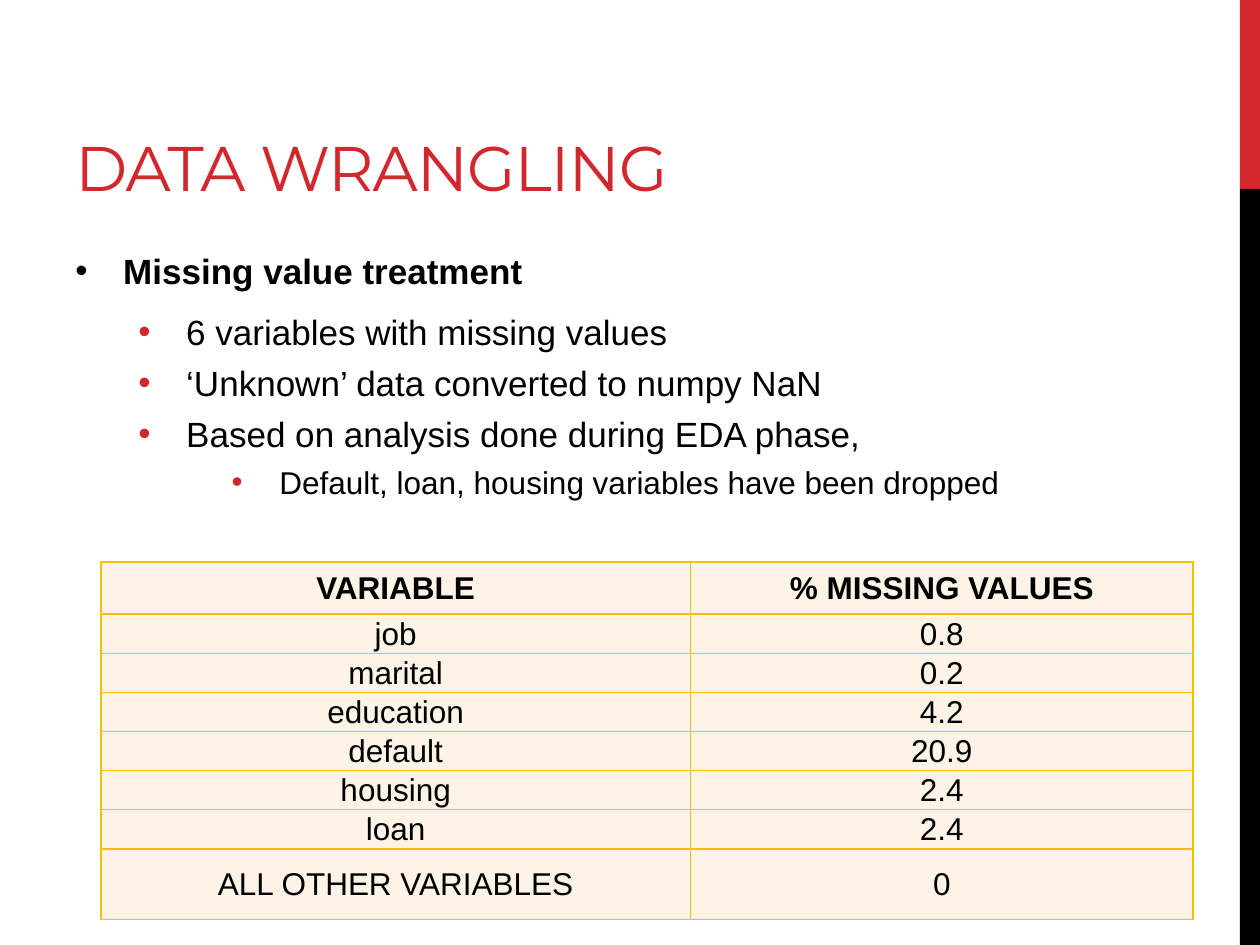
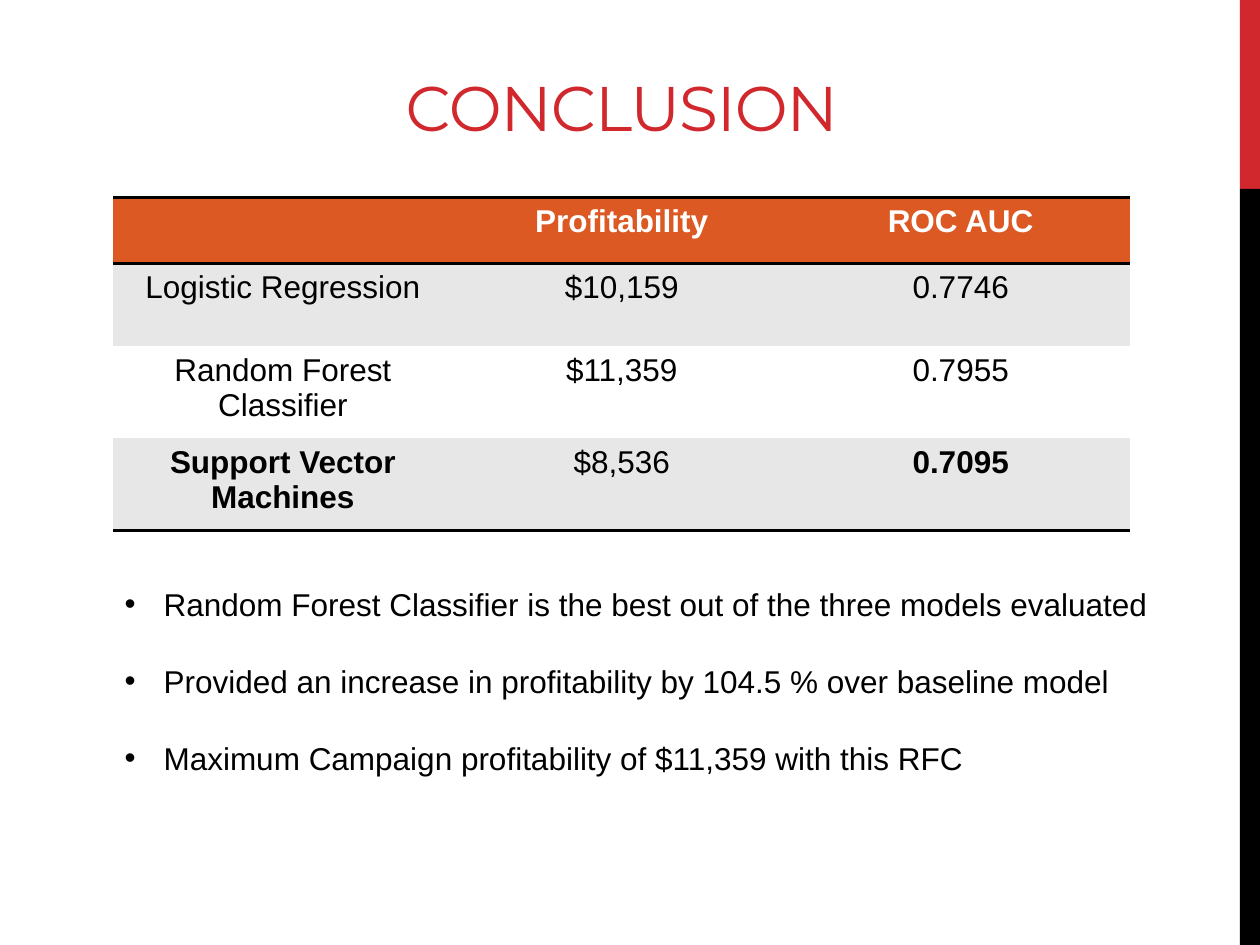
from lxml.etree import SubElement
from pptx import Presentation
from pptx.dml.color import RGBColor
from pptx.enum.shapes import MSO_SHAPE
from pptx.enum.text import MSO_ANCHOR, PP_ALIGN
from pptx.oxml import parse_xml
from pptx.oxml.ns import nsdecls, qn
from pptx.util import Inches, Pt

COLORS = {
    "red": "D1282E", "black": "000000", "white": "FFFFFF", "gold": "F5C201",
    "cream": "FDF4E7", "orange": "DC5924", "gray": "E7E7E7",
}
NO_TABLE_STYLE = "{2D5ABB26-0587-4C30-8999-92F81FD0307C}"

deck = Presentation()
deck.slide_width, deck.slide_height = Inches(10), Inches(7.5)

# The grid: 100 columns by 75 rows
COLUMN = deck.slide_width / 100
ROW = deck.slide_height / 75


def write(frame, text, size=18, font="Arial", color="black", bold=False, align=PP_ALIGN.LEFT,
          spacing=None, before=0, after=0, bullet=None, margin=0, hanging=0):
    """Add one formatted paragraph; margin and hanging are in columns."""
    para = frame.paragraphs[0]
    if para.runs:
        para = frame.add_paragraph()
    para.alignment = align
    para.space_before, para.space_after = Pt(before), Pt(after)
    if bullet:
        properties = para._p.get_or_add_pPr()
        properties.set("marL", str(int(margin * COLUMN)))
        properties.set("indent", str(int(-hanging * COLUMN)))
        SubElement(SubElement(properties, qn("a:buClr")), qn("a:srgbClr"), val=COLORS[bullet])
        SubElement(properties, qn("a:buFont"), typeface="Arial")
        SubElement(properties, qn("a:buChar"), char="•")
    span = para.add_run()
    span.text = text
    span.font.size, span.font.name, span.font.bold = Pt(size), font, bold
    span.font.color.rgb = RGBColor.from_string(COLORS[color])
    if spacing is not None:
        span._r.get_or_add_rPr().set("spc", str(int(spacing * 100)))


def fill_cell(cell, color, sides, line, width):
    """Fill a cell and draw the listed sides (from L, R, T, B) as borders."""
    cell.fill.solid()
    cell.fill.fore_color.rgb = RGBColor.from_string(COLORS[color])
    for position, side in enumerate(sides):
        cell._tc.get_or_add_tcPr().insert(position, parse_xml(
            f'<a:ln{side} {nsdecls("a")} w="{Pt(width)}"><a:solidFill>'
            f'<a:srgbClr val="{COLORS[line]}"/></a:solidFill></a:ln{side}>'))


# Shared parts: side bands, title, text box and table frame
pages = [
    {"title": "DATA WRANGLING", "title_at": (5, 1.7, 63.3, 15), "align": PP_ALIGN.LEFT,
     "body_at": (5, 19.3, 83.3, 24), "table_at": (8, 44.6),
     "columns": [46.8, 39.9], "rows": [4.15] + [2.94] * 6 + [5.6]},
    {"title": "CONCLUSION", "title_at": (5, 2.3, 88.7, 9.6), "align": PP_ALIGN.CENTER,
     "body_at": (8.9, 45.9, 83.9, 16.2), "table_at": (9, 15.7),
     "columns": [26.9] * 3, "rows": [5.2, 6.6, 7.3, 7.3]},
]
bodies, tables = [], []
for page in pages:
    slide = deck.slides.add_slide(deck.slide_layouts[6])
    for top, height, color in ((0, 15, "red"), (15, 60, "black")):
        band = slide.shapes.add_shape(MSO_SHAPE.RECTANGLE, int(98.4 * COLUMN), int(top * ROW),
                                      int(1.6 * COLUMN), int(height * ROW))
        band.shadow.inherit = False
        band.fill.solid()
        band.fill.fore_color.rgb = RGBColor.from_string(COLORS[color])
        band.line.fill.background()

    frames = []
    for left, top, width, height in (page["title_at"], page["body_at"]):
        box = slide.shapes.add_textbox(int(left * COLUMN), int(top * ROW),
                                       int(width * COLUMN), int(height * ROW))
        box.text_frame.word_wrap = True
        frames.append(box.text_frame)
    title, body = frames
    title.vertical_anchor = MSO_ANCHOR.BOTTOM
    write(title, page["title"], size=36, font="Montserrat", color="red",
          align=page["align"], spacing=-0.6)
    bodies.append(body)

    left, top = page["table_at"]
    table = slide.shapes.add_table(
        len(page["rows"]), len(page["columns"]), int(left * COLUMN), int(top * ROW),
        int(sum(page["columns"]) * COLUMN), int(sum(page["rows"]) * ROW)).table
    table._tbl.tblPr.find(qn("a:tableStyleId")).text = NO_TABLE_STYLE
    for column, width in zip(table.columns, page["columns"]):
        column.width = int(width * COLUMN)
    for row, height in zip(table.rows, page["rows"]):
        row.height = int(height * ROW)
    tables.append(table)

# Data wrangling: bullets on three levels
write(bodies[0], "Missing value treatment", size=20, bold=True, after=6,
      bullet="black", margin=3.8, hanging=3.8)
for text, size, margin in (
    ("6 variables with missing values", 20, 8.8),
    ("‘Unknown’ data converted to numpy NaN", 20, 8.8),
    ("Based on analysis done during EDA phase,", 20, 8.8),
    ("Default, loan, housing variables have been dropped", 18, 16.2),
):
    write(bodies[0], text, size=size, before=5, bullet="red", margin=margin, hanging=3.8)

# Data wrangling: share of missing values
missing_values = [
    ("VARIABLE", "% MISSING VALUES"), ("job", "0.8"), ("marital", "0.2"),
    ("education", "4.2"), ("default", "20.9"), ("housing", "2.4"), ("loan", "2.4"),
    ("ALL OTHER VARIABLES", "0"),
]
for row_index, values in enumerate(missing_values):
    for cell, text in zip(tables[0].rows[row_index].cells, values):
        cell.margin_left = cell.margin_right = cell.margin_top = Inches(0.01)
        cell.margin_bottom = 0
        cell.vertical_anchor = MSO_ANCHOR.MIDDLE
        fill_cell(cell, "cream", "LRTB", "gold", 1)
        write(cell.text_frame, text, bold=row_index == 0, align=PP_ALIGN.CENTER)

# Conclusion: model comparison
models = [
    ("", "Profitability", "ROC AUC"),
    ("Logistic Regression", "$10,159", "0.7746"),
    ("Random Forest Classifier", "$11,359", "0.7955"),
    ("Support Vector Machines", "$8,536", "0.7095"),
]
row_looks = [("orange", "TB"), ("gray", ""), ("white", ""), ("gray", "B")]
bold_texts = {*models[0], "Support Vector Machines", "0.7095"}
for row_index, (values, (color, sides)) in enumerate(zip(models, row_looks)):
    for cell, text in zip(tables[1].rows[row_index].cells, values):
        fill_cell(cell, color, sides, "black", 2)
        if text:
            write(cell.text_frame, text, color="black" if row_index else "white",
                  bold=text in bold_texts, align=PP_ALIGN.CENTER)

# Conclusion: findings
findings = [
    "Random Forest Classifier is the best out of the three models evaluated",
    "Provided an increase in profitability by 104.5 % over baseline model",
    "Maximum Campaign profitability of $11,359 with this RFC",
]
for index, text in enumerate(findings):
    write(bodies[1], text, before=22.5 if index else 0, bullet="black", margin=3.1, hanging=3.1)

deck.save("out.pptx")
